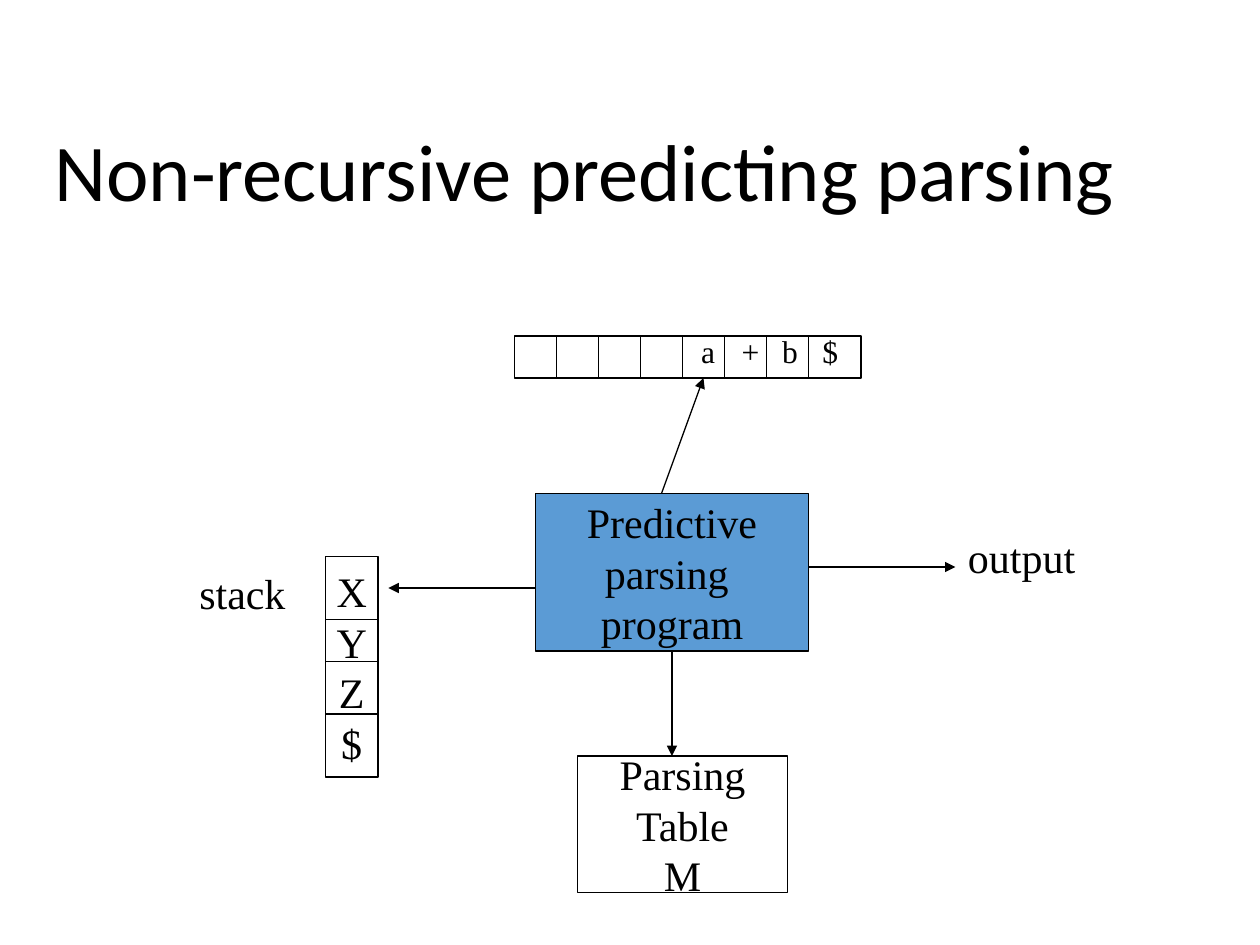
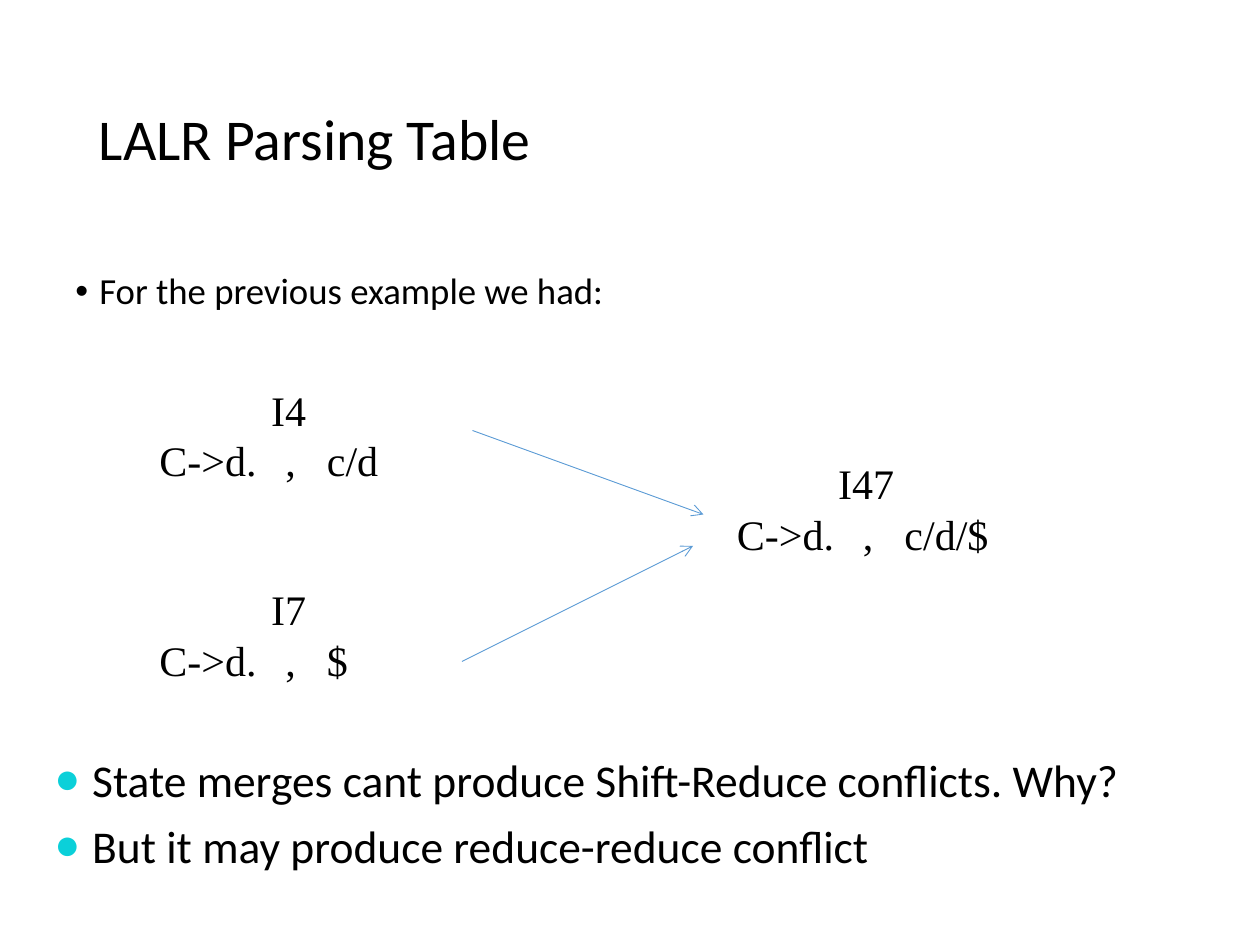
from lxml import etree
from pptx import Presentation
from pptx import util as u
from pptx.dml.color import RGBColor
from pptx.enum import shapes, text
from pptx.oxml import ns

# Shared look: a grid of 120 columns by 90 rows, twelve to the inch
CELL = u.Inches(1) // 12
BLACK, BLUE, CYAN = "000000", "5B9BD5", "0BD0D9"
SANS, SERIF = "Calibri", "Times New Roman"
LEFT, CENTER = text.PP_ALIGN.LEFT, text.PP_ALIGN.CENTER
TOP, MIDDLE = text.MSO_ANCHOR.TOP, text.MSO_ANCHOR.MIDDLE
rgb = RGBColor.from_string

deck = Presentation()
deck.slide_width, deck.slide_height = 120 * CELL, 90 * CELL
blank = deck.slide_layouts[6]


def add_block(slide, area, lines, size=24, font=SERIF, align=LEFT, anchor=TOP,
              wrap=False, framed=False, fill=None, spacing=None):
    """Place lines of text on the grid, in a frame if asked; return the paragraphs."""
    place = [int(share * CELL) for share in area]
    if framed:
        block = slide.shapes.add_shape(shapes.MSO_SHAPE.RECTANGLE, *place)
        block.shadow.inherit = False
        block.line.color.rgb, block.line.width = rgb(BLACK), u.Pt(0.75)
        if fill:
            block.fill.solid()
            block.fill.fore_color.rgb = rgb(fill)
        else:
            block.fill.background()
    else:
        block = slide.shapes.add_textbox(*place)
    frame = block.text_frame
    frame.word_wrap, frame.vertical_anchor = wrap, anchor
    frame.margin_left = frame.margin_right = u.Inches(0.1)
    frame.margin_top = frame.margin_bottom = u.Inches(0.05)
    for number, words in enumerate(lines):
        paragraph = frame.add_paragraph() if number else frame.paragraphs[0]
        paragraph.alignment = align
        if spacing:
            paragraph.line_spacing = spacing
        run = paragraph.add_run()
        run.text = words
        run.font.size, run.font.name = u.Pt(size), font
        run.font.color.rgb = rgb(BLACK)
    return frame.paragraphs


def add_line(slide, ends, color=BLACK, width=0.75, arrow=None):
    """Draw a straight line between two grid points, with an optional arrowhead."""
    line = slide.shapes.add_connector(
        shapes.MSO_CONNECTOR.STRAIGHT, *(int(share * CELL) for share in ends))
    line.line.color.rgb, line.line.width = rgb(color), u.Pt(width)
    if arrow:
        etree.SubElement(line.line._get_or_add_ln(), ns.qn("a:tailEnd"), type=arrow)
    etree.SubElement(line._element.spPr, ns.qn("a:effectLst"))


# Titles of both slides
parser, lalr = (deck.slides.add_slide(blank) for _ in range(2))
for slide, area, words, size in (
        (parser, (4, 9.24, 111, 15), "Non-recursive predicting parsing", 46),
        (lalr, (8.25, 4.8, 103.5, 17.4), "LALR Parsing Table", 33)):
    add_block(slide, area, [words], size, SANS, anchor=MIDDLE, wrap=True, spacing=0.9)

# Slide 1: input tape
add_block(parser, (49, 32, 33, 4), [], framed=True)
for column in range(53, 78, 4):
    add_line(parser, (column, 32, column, 36))
for position, symbol in enumerate("a+b$"):
    add_block(parser, (65.6 + 3.85 * position, 31, 4.2, 4.8), [symbol], 18)

# Program, parsing table and stack
for area, lines, fill in (
        ((51, 47, 26, 15), ["Predictive", "parsing ", "program"], BLUE),
        ((55, 72, 20, 13), ["Parsing", "Table", "M"], None),
        ((31, 53, 5, 21), ["X", "Y", "Z", "$"], None)):
    add_block(parser, area, lines, align=CENTER, anchor=MIDDLE, framed=True, fill=fill)
for row in (59, 63, 68):
    add_line(parser, (31, row, 36, row))

# Arrows out of the program, and side labels
for ends in ((63, 47, 67, 36), (77, 54, 91, 54), (64, 62, 64, 72), (51, 56, 37, 56)):
    add_line(parser, ends, arrow="triangle")
add_block(parser, (91, 50, 13, 6), ["output"])
add_block(parser, (17.8, 53.5, 12, 6), ["stack"])

# Slide 2: item sets and their merge
for left, top, state, lookahead in (
        (14, 36, "I4", "c/d"), (14, 55, "I7", "$"), (69, 43, "I47", "c/d/$")):
    heading, item = add_block(lalr, (left, top, 27, 15.6),
                              [state, f"C->d.\t,\t{lookahead}"], wrap=True)
    heading.alignment = CENTER
    stops = etree.SubElement(item._p.get_or_add_pPr(), ns.qn("a:tabLst"))
    for stop in (1, 1.33):
        etree.SubElement(stops, ns.qn("a:tab"), pos=str(u.Inches(stop)), algn="l")
for ends in ((45, 41, 67, 49), (44, 63, 66, 52)):
    add_line(lalr, ends, BLUE, 0.5, "arrow")

# Bulleted statements above and below the merge
for area, lines, size, spacing, indent, mark, color, scale in (
        ((6, 25.4, 108, 14.6), ["For the previous example we had:"],
         21, 0.9, 0.19, "•", BLACK, 100),
        ((4, 71, 108, 14.6), ["State merges cant produce Shift-Reduce conflicts. Why?",
                              "But it may produce reduce-reduce conflict"],
         26, None, 0.3, "●", CYAN, 95)):
    statements = add_block(lalr, area, lines, size, SANS, wrap=True, spacing=spacing)
    for number, statement in enumerate(statements):
        if number:
            statement.space_before = u.Pt(6.5)
        props = statement._p.get_or_add_pPr()
        props.set("marL", str(u.Inches(indent)))
        props.set("indent", str(-u.Inches(indent)))
        tint = etree.SubElement(props, ns.qn("a:buClr"))
        etree.SubElement(tint, ns.qn("a:srgbClr"), val=color)
        etree.SubElement(props, ns.qn("a:buSzPct"), val=str(scale * 1000))
        etree.SubElement(props, ns.qn("a:buFont"), typeface="Arial")
        etree.SubElement(props, ns.qn("a:buChar"), char=mark)

deck.save("out.pptx")
